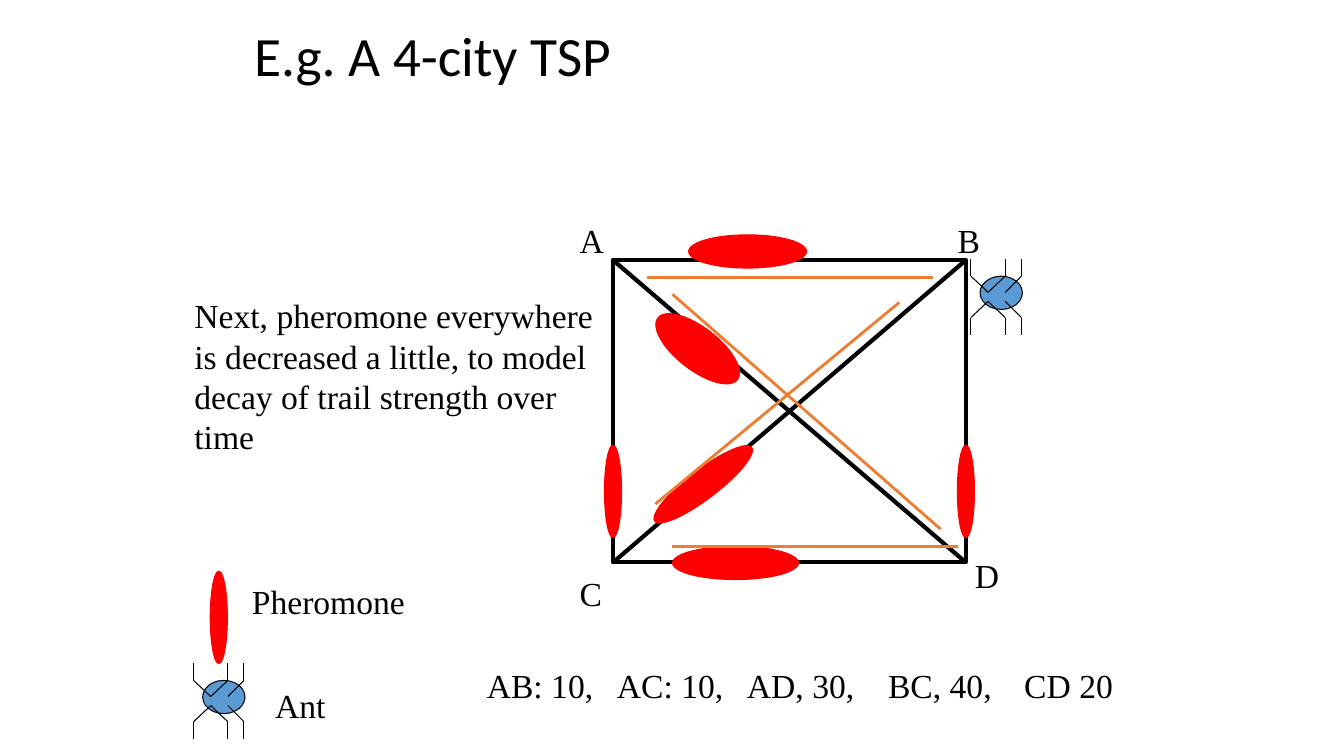
from dataclasses import dataclass

from lxml.etree import SubElement
from pptx import Presentation
from pptx.dml.color import RGBColor
from pptx.enum.shapes import MSO_CONNECTOR, MSO_SHAPE
from pptx.enum.text import MSO_ANCHOR, MSO_AUTO_SIZE, PP_ALIGN
from pptx.oxml.ns import qn
from pptx.util import Inches, Pt

BLACK, RED, BLUE, ORANGE = "000000", "FF0000", "5B9BD5", "ED7D31"
SERIF = "Times New Roman"


@dataclass
class Label:
    x: float
    y: float
    w: float
    h: float
    lines: list[str]
    tabs: tuple[float, ...] = ()


@dataclass
class Line:
    x1: float
    y1: float
    x2: float
    y2: float
    color: str
    width: float


@dataclass
class Oval:
    x: float
    y: float
    w: float
    h: float
    rotation: float = 0
    fill: str = RED
    line: str = RED


def rgb(color: str) -> RGBColor:
    return RGBColor.from_string(color)


def add_run(p, text: str, font: str, size: float) -> None:
    r = p.add_run()
    r.text = text
    r.font.name, r.font.size = font, Pt(size)
    r.font.color.rgb = rgb(BLACK)


def add_label(shapes, label: Label) -> None:
    box = shapes.add_textbox(*map(Inches, (label.x, label.y, label.w, label.h)))
    tf = box.text_frame
    tf.word_wrap = True
    tf.margin_right = 0
    for i, text in enumerate(label.lines):
        p = tf.paragraphs[0] if i == 0 else tf.add_paragraph()
        if label.tabs:
            tab_list = SubElement(p._p.get_or_add_pPr(), qn("a:tabLst"))
            for pos in label.tabs:
                SubElement(tab_list, qn("a:tab"), pos=str(Inches(pos)), algn="l")
        add_run(p, text, SERIF, 24)


def add_line(shapes, line: Line) -> None:
    ends = map(Inches, (line.x1, line.y1, line.x2, line.y2))
    c = shapes.add_connector(MSO_CONNECTOR.STRAIGHT, *ends)
    c.line.color.rgb = rgb(line.color)
    c.line.width = Pt(line.width)
    SubElement(c._element.spPr, qn("a:effectLst"))


def add_oval(shapes, oval: Oval) -> None:
    sp = shapes.add_shape(MSO_SHAPE.OVAL, *map(Inches, (oval.x, oval.y, oval.w, oval.h)))
    sp.shadow.inherit = False
    sp.rotation = oval.rotation
    sp.fill.solid()
    sp.fill.fore_color.rgb = rgb(oval.fill)
    sp.line.color.rgb = rgb(oval.line)
    sp.line.width = Pt(0.75)


def add_ant(shapes, x: float, y: float) -> None:
    ant = shapes.add_group_shape().shapes
    add_oval(ant, Oval(x + 0.09, y + 0.17, 0.42, 0.33, fill=BLUE, line=BLACK))
    # Three bent legs above the body, three mirrored below
    for tip, knee, hip in ((y, y + 0.17, y + 0.33), (y + 0.75, y + 0.58, y + 0.42)):
        for foot_x, hip_x in ((0.5, 0.34), (0.34, 0.17), (0, 0.17)):
            add_line(ant, Line(x + hip_x, hip, x + foot_x, knee, BLACK, 0.75))
            add_line(ant, Line(x + foot_x, knee, x + foot_x, tip, BLACK, 0.75))


LEFT, TOP, RIGHT, BOTTOM = 6.08, 2.58, 9.58, 5.58

CITIES = [
    Label(5.65, 2.13, 0.44, 0.5, ["A"]),
    Label(9.4, 2.13, 0.42, 0.5, ["B"]),
    Label(5.65, 5.63, 0.42, 0.5, ["C"]),
    Label(9.57, 5.46, 0.44, 0.5, ["D"]),
]
DIAGONALS = [
    Line(LEFT, TOP, RIGHT, BOTTOM, BLACK, 3),
    Line(LEFT, BOTTOM, RIGHT, TOP, BLACK, 3),
]
PHEROMONES = [
    Oval(6.67, 5.42, 1.25, 0.33),
    Oval(6.83, 2.33, 1.17, 0.33),
    Oval(6.37, 4.66, 1.21, 0.29, 322.7),
    Oval(6.42, 3.25, 1, 0.42, 37.8),
    Oval(9.12, 4.79, 0.92, 0.17, 90),
    Oval(5.62, 4.79, 0.92, 0.17, 90),
    Oval(1.71, 6.04, 0.92, 0.17, 90),
]
TRAILS = [
    Line(6.42, 2.75, 9.25, 2.75, ORANGE, 2),
    Line(6.67, 5.42, 9.5, 5.42, ORANGE, 2),
    Line(8.92, 3, 6.5, 5, ORANGE, 2),
    Line(6.67, 2.92, 9.33, 5.25, ORANGE, 2),
]
CAPTIONS = [
    Label(2.4, 5.71, 1.72, 0.5, ["Pheromone"]),
    Label(2.63, 6.75, 0.72, 0.5, ["Ant"]),
    Label(4.73, 6.55, 6.45, 0.5, ["AB: 10,\tAC: 10,\tAD, 30,\tBC, 40,\tCD 20"],
          (1.29, 2.58, 3.98, 5.33)),
    Label(1.83, 2.88, 4.19, 1.72, [
        "Next, pheromone everywhere",
        "is decreased a little, to model",
        "decay of trail strength over",
        "time",
    ]),
]


def add_title(s, text: str) -> None:
    title = s.shapes.title
    title.left, title.top, title.width, title.height = map(Inches, (2.42, 0.25, 8.5, 0.67))
    tf = title.text_frame
    tf.auto_size = MSO_AUTO_SIZE.NONE
    tf.vertical_anchor = MSO_ANCHOR.MIDDLE
    p = tf.paragraphs[0]
    p.alignment = PP_ALIGN.LEFT
    p.line_spacing = 0.9
    add_run(p, text, "Calibri", 39.6)


def main() -> None:
    prs = Presentation()
    prs.slide_width, prs.slide_height = Inches(13.33), Inches(7.5)
    s = prs.slides.add_slide(prs.slide_layouts[5])
    add_title(s, "E.g. A 4-city TSP")

    # City map
    for city in CITIES:
        add_label(s.shapes, city)
    square = s.shapes.add_shape(
        MSO_SHAPE.RECTANGLE, *map(Inches, (LEFT, TOP, RIGHT - LEFT, BOTTOM - TOP)))
    square.shadow.inherit = False
    square.fill.background()
    square.line.color.rgb = rgb(BLACK)
    square.line.width = Pt(3)
    for diagonal in DIAGONALS:
        add_line(s.shapes, diagonal)

    # Ants and pheromone, on the map and in the legend
    add_ant(s.shapes, 9.63, 2.57)
    for pheromone in PHEROMONES:
        add_oval(s.shapes, pheromone)
    add_ant(s.shapes, 1.92, 6.58)

    # Ant trails and captions
    for trail in TRAILS:
        add_line(s.shapes, trail)
    for caption in CAPTIONS:
        add_label(s.shapes, caption)
    prs.save("out.pptx")


if __name__ == "__main__":
    main()
